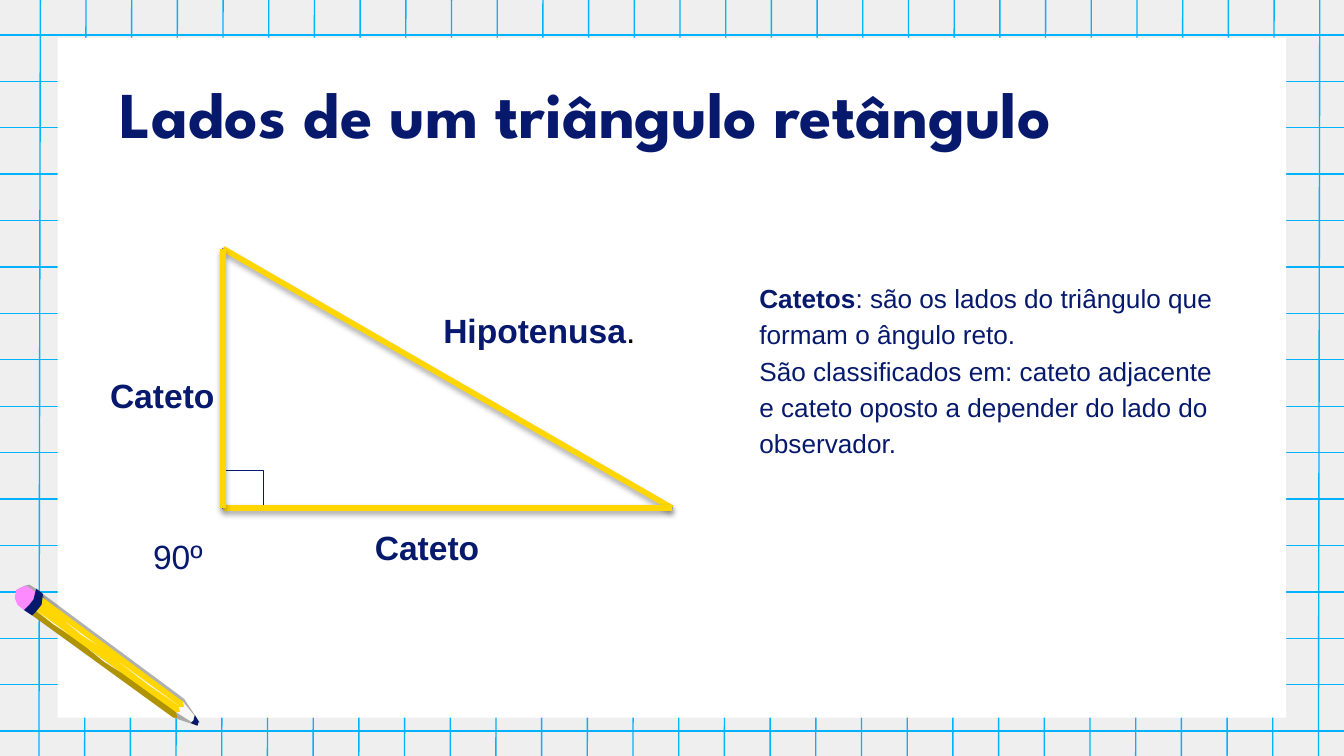
"""Build a slide naming the sides of a right triangle on grid paper."""
from lxml import etree
from pptx import Presentation
from pptx import util as u
from pptx.dml import color
from pptx.enum import shapes, text
from pptx.oxml import ns

NAVY, YELLOW, BLUE, WHITE, BLACK = "07196D", "FFD600", "01B2FD", "FFFFFF", "000000"
PINK, CREAM = "FE8AFF", "F8F7F5"
WIDTH = 10
HEIGHT = WIDTH * 9 / 16


def paint(fill, hex_color):
    fill.solid()
    fill.fore_color.rgb = color.RGBColor.from_string(hex_color)


def add_line(start, end, hex_color, points):
    line = slide.shapes.add_connector(
        shapes.MSO_CONNECTOR.STRAIGHT, *[u.Inches(value) for value in start + end])
    paint(line.line.fill, hex_color)
    line.line.width = u.Pt(points)
    return etree.SubElement(line.element.spPr, ns.qn("a:effectLst"))


presentation = Presentation()
presentation.slide_width, presentation.slide_height = u.Inches(WIDTH), u.Inches(HEIGHT)
slide = presentation.slides.add_slide(presentation.slide_layouts[5])
paint(slide.background.fill, "EFEFEF")

for row in range(16):
    y = 0.26 + row * 5.18 / 15
    add_line((0, y), (WIDTH, y), BLUE, 0.75)
for column in range(29):
    x = 0.3 + column * 0.34
    add_line((x, 0), (x - 0.01, HEIGHT), BLUE, 0.75)

panel = slide.shapes.add_shape(
    shapes.MSO_SHAPE.RECTANGLE, u.Inches(0.43), u.Inches(0.28), u.Inches(9.14), u.Inches(5.06))
panel.shadow.inherit = False
paint(panel.fill, WHITE)
panel.line.fill.background()

eraser = [(0.16, 4.37), (0.12, 4.39), (0.11, 4.45), (0.13, 4.5), (0.19, 4.55), (0.23, 4.57),
          (0.27, 4.56), (0.3, 4.53), (0.32, 4.48), (0.29, 4.42), (0.23, 4.38), (0.2, 4.36)]
body_shadow = [(0.32, 4.42), (0.29, 4.46), (0.29, 4.54), (0.25, 4.55), (1.3, 5.32), (1.33, 5.33),
               (1.33, 5.28), (1.36, 5.28), (1.35, 5.24), (1.49, 5.38), (1.37, 5.2)]
wood = [(1.29, 5.21), (1.24, 5.26), (1.29, 5.34), (1.41, 5.38), (1.47, 5.4), (1.48, 5.37),
        (1.45, 5.33), (1.36, 5.22)]
body = [(0.31, 4.44), (0.3, 4.49), (0.26, 4.55), (0.23, 4.57), (1.29, 5.34), (1.32, 5.34),
        (1.31, 5.3), (1.34, 5.3), (1.33, 5.26), (1.37, 5.26), (1.36, 5.22)]
band = [(0.27, 4.38), (0.26, 4.42), (0.25, 4.46), (0.22, 4.5), (0.18, 4.54), (0.24, 4.58),
        (0.27, 4.55), (0.31, 4.5), (0.32, 4.42)]
tip = [(1.45, 5.32), (1.44, 5.36), (1.42, 5.38), (1.47, 5.4), (1.48, 5.37)]
shaded_edge = [(0.27, 4.55), (0.24, 4.58), (1.29, 5.34), (1.47, 5.4), (1.31, 5.3)]
pencil = [
    ([(x + 0.02, y - 0.01) for x, y in eraser], BLACK, 31),
    (eraser, PINK, 100),
    (body_shadow, BLACK, 31),
    (wood, CREAM, 100),
    (body, YELLOW, 100),
    (band, NAVY, 100),
    (tip, NAVY, 100),
    (shaded_edge, BLACK, 31),
]
for left, top, length in [(0.89, 4.93, 0.44), (0.49, 4.63, 0.23), (0.66, 4.83, 0.23), (0.28, 4.55, 0.23)]:
    middle, drop = length / 2, length * 0.73
    glint = [(left, top), (left + middle, top + drop / 2 + 0.01),
             (left + length, top + drop), (left + middle, top + drop / 2)]
    pencil.append((glint, CREAM, 100))

for points, hex_color, opacity in pencil:
    corners = [(u.Inches(x), u.Inches(y)) for x, y in points]
    builder = slide.shapes.build_freeform(*corners[0])
    builder.add_line_segments(corners[1:], close=True)
    piece = builder.convert_to_shape()
    piece.shadow.inherit = False
    paint(piece.fill, hex_color)
    piece.line.fill.background()
    if opacity < 100:
        solid = piece.element.spPr.find(ns.qn("a:solidFill"))
        etree.SubElement(solid[0], ns.qn("a:alpha"), val=str(opacity * 1000))

for kind, *box in [(shapes.MSO_SHAPE.RIGHT_TRIANGLE, 1.66, 1.85, 3.34, 1.93),
                   (shapes.MSO_SHAPE.RECTANGLE, 1.66, 3.5, 0.3, 0.28)]:
    outline = slide.shapes.add_shape(kind, *[u.Inches(value) for value in box])
    outline.shadow.inherit = False
    outline.fill.background()
    paint(outline.line.fill, NAVY)
    outline.line.width = u.Pt(0.75)

apex, right_angle, far_corner = (1.66, 1.85), (1.66, 3.78), (5, 3.78)
for start, end in [(apex, far_corner), (right_angle, far_corner), (right_angle, apex)]:
    effects = add_line(start, end, YELLOW, 3)
    shadow = etree.SubElement(
        effects, ns.qn("a:outerShdw"), blurRad=str(u.Pt(3.1)), dist=str(u.Pt(1.8)),
        dir="5400000", rotWithShape="0")
    shade = etree.SubElement(shadow, ns.qn("a:srgbClr"), val=BLACK)
    etree.SubElement(shade, ns.qn("a:alpha"), val="35000")

title = slide.shapes.title
panel.element.addnext(title.element)
cateto = [[("Cateto", True, NAVY)]]
definition = [
    [("Catetos", True, NAVY),
     (": são os lados do triângulo que formam o ângulo reto.", False, NAVY)],
    [("São classificados em: cateto adjacente e cateto oposto a depender do lado do observador.",
      False, NAVY)],
]
texts = [
    (title, (0.79, 0.36, 8.43, 0.63), "League Spartan", 35, 1.15, (0.1, 0.1), True,
     [[("Lados de um triângulo retângulo", True, NAVY)]]),
    (None, (1.04, 3.84, 0.62, 0.47), "Arial", 18, 1.15, (0.1, 0.1), True, [[("90º", False, NAVY)]]),
    (None, (5.4, 1.97, 3.75, 1.17), "Arial", 14, 1.15, (0.25, 0.1), True, definition),
    (None, (3.2, 2.26, 1.63, 0.4), "Arial", 18, 1, (0.1, 0.05), False,
     [[("Hipotenusa", True, NAVY), (".", False, BLACK)]]),
    (None, (2.69, 3.87, 1.01, 0.4), "Arial", 18, 1, (0.1, 0.05), False, cateto),
    (None, (0.72, 2.74, 1.01, 0.4), "Arial", 18, 1, (0.1, 0.05), False, cateto),
]
for holder, box, font_name, size, spacing, (inset, top_inset), wrap, paragraphs in texts:
    left, top, width, height = [u.Inches(value) for value in box]
    shape = holder or slide.shapes.add_textbox(left, top, width, height)
    shape.left, shape.top, shape.width, shape.height = left, top, width, height
    frame = shape.text_frame
    frame.word_wrap = wrap
    frame.auto_size = text.MSO_AUTO_SIZE.NONE if wrap else text.MSO_AUTO_SIZE.SHAPE_TO_FIT_TEXT
    frame.vertical_anchor = text.MSO_ANCHOR.TOP
    frame.margin_left, frame.margin_right = u.Inches(inset), u.Inches(0.1)
    frame.margin_top = frame.margin_bottom = u.Inches(top_inset)
    frame.text = "\n" * (len(paragraphs) - 1)
    for paragraph, runs in zip(frame.paragraphs, paragraphs):
        paragraph.alignment = text.PP_ALIGN.LEFT
        paragraph.line_spacing = spacing
        for words, bold, hex_color in runs:
            run = paragraph.add_run()
            run.text = words
            run.font.name, run.font.size, run.font.bold = font_name, u.Pt(size), bold
            paint(run.font.fill, hex_color)

presentation.save("out.pptx")
